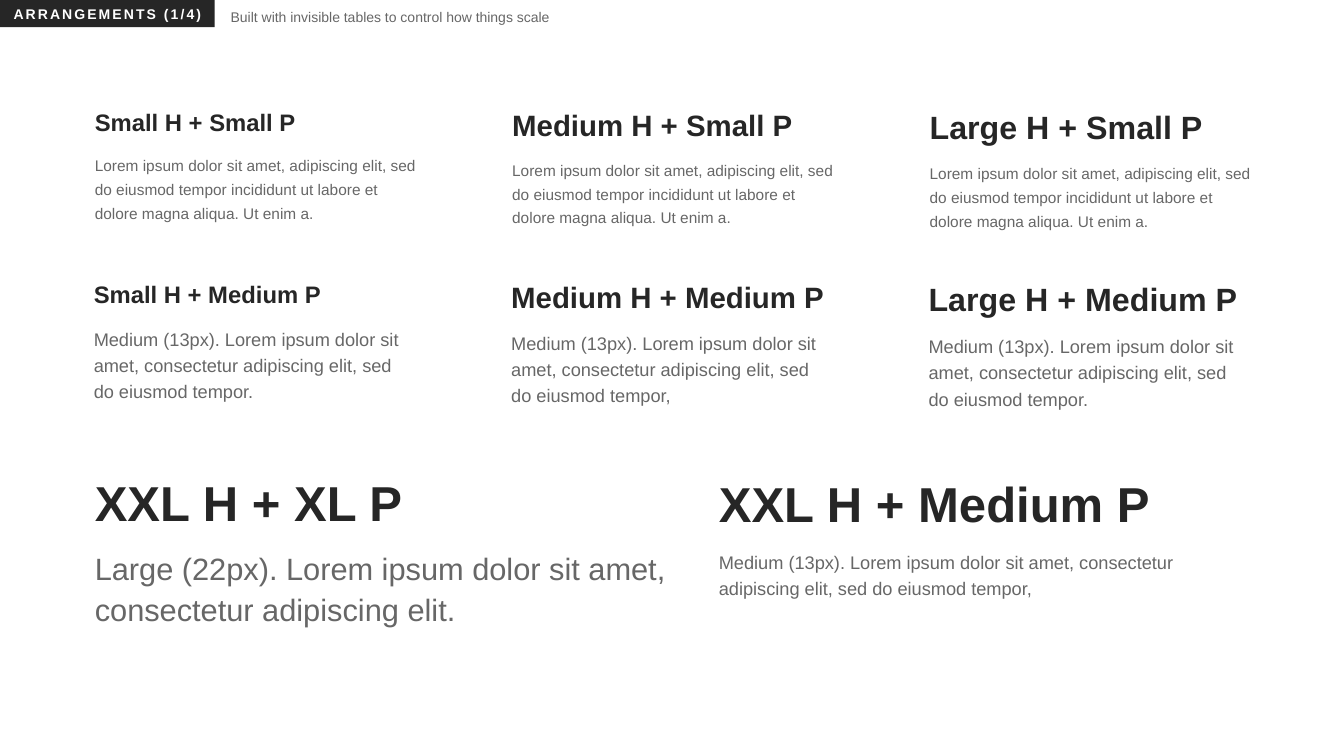
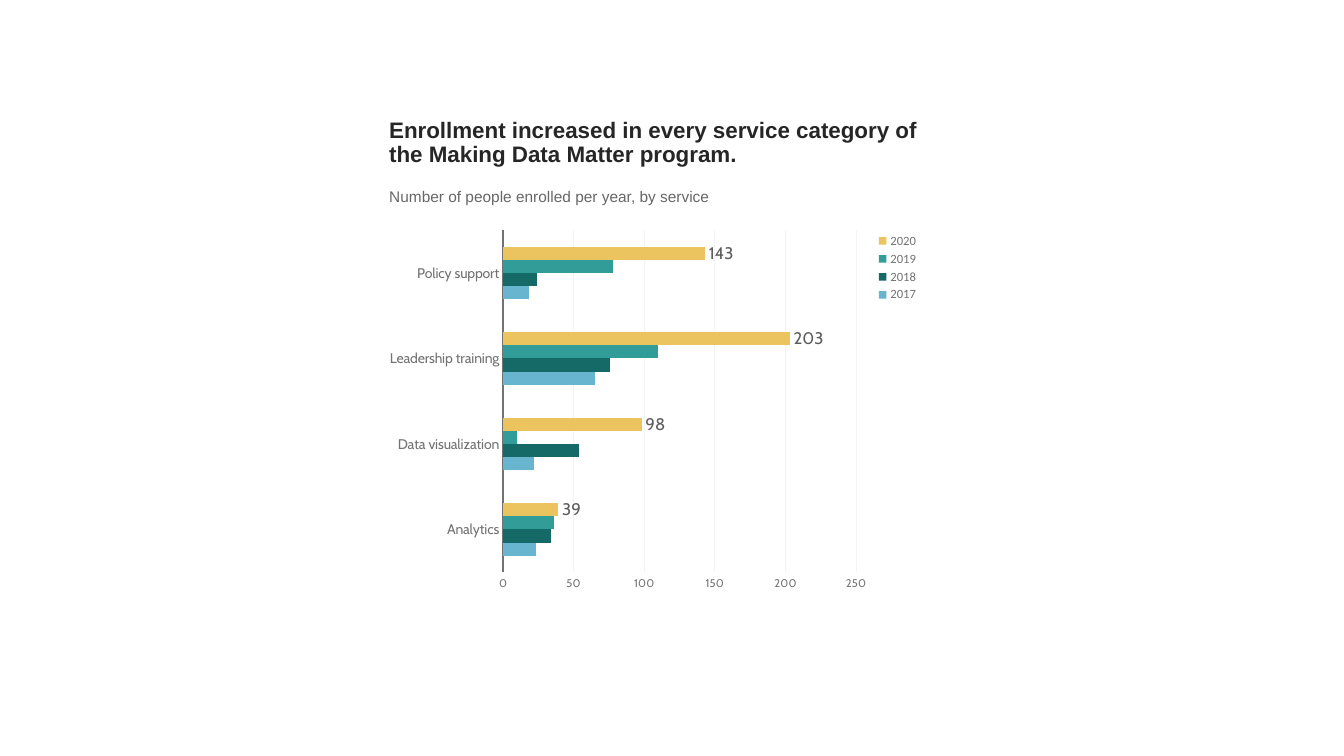
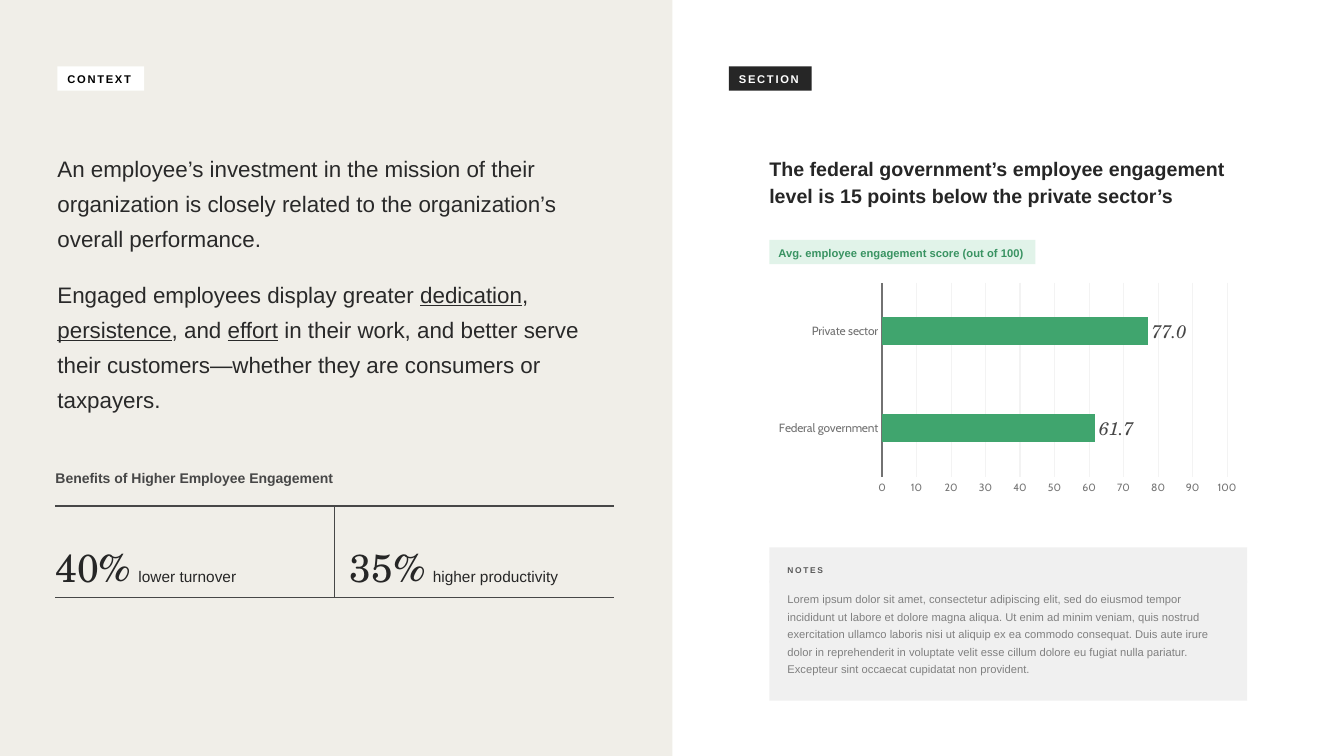
from lxml.etree import SubElement
from pptx import Presentation
from pptx.chart.data import CategoryChartData
from pptx.dml.color import RGBColor
from pptx.enum.chart import XL_CHART_TYPE, XL_LABEL_POSITION, XL_LEGEND_POSITION, XL_TICK_MARK
from pptx.enum.shapes import MSO_SHAPE
from pptx.enum.text import MSO_ANCHOR, MSO_AUTO_SIZE, PP_ALIGN
from pptx.oxml import parse_xml
from pptx.oxml.ns import nsdecls, qn
from pptx.util import Inches, Pt

# Shared colours and fonts
INK = RGBColor(0x26, 0x26, 0x26)
BODY = RGBColor(0x67, 0x67, 0x67)
TEXT = RGBColor(0x29, 0x29, 0x29)
RULE = RGBColor(0x47, 0x47, 0x47)
AXIS = RGBColor(0x72, 0x72, 0x72)
TICK = RGBColor(0x76, 0x76, 0x76)
GRID = RGBColor(0xF3, 0xF3, 0xF3)
LABEL = RGBColor(0x5C, 0x5C, 0x5C)
NOTE_HEAD = RGBColor(0x59, 0x59, 0x59)
NOTE = RGBColor(0x80, 0x80, 0x80)
WHITE = RGBColor(0xFF, 0xFF, 0xFF)
BLACK = RGBColor(0x00, 0x00, 0x00)
BEIGE = RGBColor(0xF0, 0xEE, 0xE8)
GRAY = RGBColor(0xF0, 0xF0, 0xF0)
MINT = RGBColor(0xE1, 0xF3, 0xE9)
DARK_GREEN = RGBColor(0x39, 0x93, 0x62)
GREEN = RGBColor(0x40, 0xA5, 0x6E)
BLUE = RGBColor(0x67, 0xB5, 0xCE)
DEEP_TEAL = RGBColor(0x15, 0x69, 0x66)
TEAL = RGBColor(0x31, 0x9C, 0x98)
YELLOW = RGBColor(0xEB, 0xC3, 0x5F)
SANS, CHART_FONT, CHART_BASE, SERIF = "Arial", "Cabin", "Calibri", "TeX Gyre Schola"
NO_STYLE = "{2D5ABB26-0587-4C30-8999-92F81FD0307C}"


def add_run(p, text, size, color, bold=False, font=SANS, spacing=0, line=None):
    r = p.add_run()
    r.text = text
    r.font.size, r.font.bold, r.font.name = Pt(size), bold, font
    r.font.color.rgb = color
    if spacing:
        r._r.get_or_add_rPr().set("spc", str(int(spacing * 100)))
    if line:
        p.line_spacing = line
    return r


def add_plain_table(s, x, y, widths, heights):
    frame = s.shapes.add_table(len(heights), len(widths), Inches(x), Inches(y),
                               Inches(sum(widths)), Inches(sum(heights)))
    table = frame.table
    table.first_row = table.horz_banding = False
    table._tbl.tblPr.find(qn("a:tableStyleId")).text = NO_STYLE
    for column, width in zip(table.columns, widths):
        column.width = Inches(width)
    for row, height in zip(table.rows, heights):
        row.height = Inches(height)
    for cell in table.iter_cells():
        cell.fill.background()
    return table


prs = Presentation()
prs.slide_width, prs.slide_height = Inches(13.33), Inches(7.5)
TITLE_ONLY, BLANK = prs.slide_layouts[5], prs.slide_layouts[6]
arrangements = prs.slides.add_slide(TITLE_ONLY)
enrollment = prs.slides.add_slide(BLANK)
engagement = prs.slides.add_slide(TITLE_ONLY)

# Titles: a dark tag on the first slide, a chart heading on the third
for s, text, box, size, color, spacing, line, align, anchor, inset in (
        (arrangements, "ARRANGEMENTS (1/4)", (0, 0, 2.13, 0.27), 10, WHITE, 1.5, 1,
         PP_ALIGN.CENTER, MSO_ANCHOR.MIDDLE, 0.1),
        (engagement, "The federal government’s employee engagement level is 15 points "
         "below the private sector’s", (7.63, 1.48, 4.72, 0.61), 14, INK, 0, 1.13,
         PP_ALIGN.LEFT, MSO_ANCHOR.TOP, 0)):
    sp = s.shapes.title
    sp.left, sp.top, sp.width, sp.height = map(Inches, box)
    tf = sp.text_frame
    tf.auto_size, tf.vertical_anchor = MSO_AUTO_SIZE.NONE, anchor
    tf.margin_left = Inches(inset)
    p = tf.paragraphs[0]
    p.alignment = align
    add_run(p, text, size, color, True, spacing=spacing, line=line)
sp = arrangements.shapes.title
sp.fill.solid()
sp.fill.fore_color.rgb = INK

# Slide 1: caption beside the tag
sp = arrangements.shapes.add_textbox(Inches(2.19), Inches(-0.03), Inches(5.34), Inches(0.31))
sp.text_frame.word_wrap = True
add_run(sp.text_frame.paragraphs[0],
        "Built with invisible tables to control how things scale", 10, BODY, line=1.4)

# Heading and paragraph pairs: a grid of three sizes, then the large pairs
SMALL = ("Lorem ipsum dolor sit amet, adipiscing elit, sed do eiusmod tempor "
         "incididunt ut labore et dolore magna aliqua. Ut enim a.")
MEDIUM = ("Medium (13px). Lorem ipsum dolor sit amet, consectetur adipiscing elit, "
          "sed do eiusmod tempor")
pairs = []
for row, (name, y, x0, size, line) in enumerate((("Small", 1.04, 0.84, 11, 1.4),
                                                 ("Medium", 2.75, 0.83, 13, 1.3))):
    for col, (head, head_size) in enumerate((("Small", 17), ("Medium", 21), ("Large", 23))):
        text = SMALL if row == 0 else MEDIUM + (",." [col != 1])
        pairs.append((arrangements, x0 + col * 4.14, y, 3.39,
                      f"{head} H + {name} P", head_size, text, size, line))
pairs += [
    (arrangements, 0.84, 4.68, 6.09, "XXL H + XL P", 35,
     "Large (22px). Lorem ipsum dolor sit amet, consectetur adipiscing elit.", 22, 1.2),
    (arrangements, 7.03, 4.69, 5.49, "XXL H + Medium P", 35, MEDIUM + ",", 13, 1.3),
    (enrollment, 3.76, 1.12, 5.47,
     "Enrollment increased in every service category of the Making Data Matter program.", 16,
     "Number of people enrolled per year, by service", 11, 1.4),
]
for s, x, y, width, head, head_size, text, size, line in pairs:
    table = add_plain_table(s, x, y, [width], [0.41, 0.41])
    add_run(table.cell(0, 0).text_frame.paragraphs[0], head, head_size, INK, True)
    add_run(table.cell(1, 0).text_frame.paragraphs[0], text, size, BODY, line=line)

# Slide 3: panel, tags and notes as filled boxes
NOTES = ("Lorem ipsum dolor sit amet, consectetur adipiscing elit, sed do eiusmod tempor "
         "incididunt ut labore et dolore magna aliqua. Ut enim ad minim veniam, quis nostrud "
         "exercitation ullamco laboris nisi ut aliquip ex ea commodo consequat. Duis aute irure "
         "dolor in reprehenderit in voluptate velit esse cillum dolore eu fugiat nulla pariatur. "
         "Excepteur sint occaecat cupidatat non provident.")
MIDDLE, TOP = MSO_ANCHOR.MIDDLE, MSO_ANCHOR.TOP
for box, fill, text, size, color, bold, spacing, line, wrap, anchor, inset_x, inset_y in (
        ((0, 0, 6.67, 7.5), BEIGE, "", 0, None, False, 0, 1, True, MIDDLE, 0.1, 0.05),
        ((7.23, 0.66, 0.82, 0.24), INK, "SECTION", 8, WHITE, True, 1.2, 1,
         False, MIDDLE, 0.1, 0.05),
        ((0.57, 0.66, 0.86, 0.24), WHITE, "CONTEXT", 8, BLACK, True, 1.2, 1,
         False, MIDDLE, 0.1, 0.05),
        ((7.63, 2.38, 2.64, 0.24), MINT, "Avg. employee engagement score (out of 100)", 8,
         DARK_GREEN, True, 0, 1.1, False, MIDDLE, 0.09, 0.05),
        ((7.63, 5.43, 4.74, 0.35), GRAY, "NOTES", 6, NOTE_HEAD, True, 1.2, 1,
         True, TOP, 0.18, 0.18),
        ((7.63, 5.76, 4.74, 1.19), GRAY, NOTES, 8, NOTE, False, 0, 1.3,
         True, TOP, 0.18, 0.08)):
    sp = engagement.shapes.add_shape(MSO_SHAPE.RECTANGLE, *map(Inches, box))
    sp.shadow.inherit = False
    sp.fill.solid()
    sp.fill.fore_color.rgb = fill
    sp.line.fill.background()
    if text:
        tf = sp.text_frame
        tf.word_wrap, tf.vertical_anchor = wrap, anchor
        tf.margin_left = tf.margin_right = Inches(inset_x)
        tf.margin_top, tf.margin_bottom = Inches(inset_y), Inches(0.05)
        p = tf.paragraphs[0]
        p.alignment = PP_ALIGN.LEFT
        add_run(p, text, size, color, bold, spacing=spacing, line=line)

# Slide 3: context text with underlined key words
sp = engagement.shapes.add_textbox(Inches(0.57), Inches(1.41), Inches(5.53), Inches(3.1))
tf = sp.text_frame
tf.word_wrap = True
tf.margin_left = tf.margin_right = 0
p = tf.paragraphs[0]
p.space_after = Pt(15)
add_run(p, "An employee’s investment in the mission of their organization is closely related "
        "to the organization’s overall performance.", 16, TEXT, line=1.3)
p = tf.add_paragraph()
for text, underlined in (
        ("Engaged employees display greater ", False), ("dedication", True), (", ", False),
        ("persistence", True), (", and ", False), ("effort", True),
        (" in their work, and better serve their customers—whether they are consumers "
         "or taxpayers.", False)):
    r = add_run(p, text, 16, TEXT, line=1.3)
    r.font.underline = underlined

# Slide 3: benefits table with ruled cells
table = add_plain_table(engagement, 0.55, 4.67, [2.77, 2.77], [0.35, 0.84])
table.cell(0, 0).merge(table.cell(0, 1))
add_run(table.cell(0, 0).text_frame.paragraphs[0],
        "Benefits of Higher Employee Engagement", 10, RULE, True)
for col, (value, text) in enumerate((("40%", "lower turnover"), ("35%", "higher productivity"))):
    p = table.cell(1, col).text_frame.paragraphs[0]
    add_run(p, value, 28, INK, font=SERIF, line=1.3)
    add_run(p, " ", 17, INK, True, SERIF).font.italic = True
    add_run(p, text, 11, INK)
for row, col, inset_x, inset_y, borders in (
        (0, 0, 0, 0, {"lnB": 1.5}),
        (0, 1, 0, 0, {"lnB": 1.5}),
        (1, 0, 0, 0.15, {"lnR": 0.75, "lnT": 1.5, "lnB": 0.75}),
        (1, 1, 0.15, 0.15, {"lnL": 0.75, "lnT": 1.5, "lnB": 0.75})):
    cell = table.cell(row, col)
    cell.margin_left, cell.margin_right = Inches(inset_x), 0
    cell.margin_top = cell.margin_bottom = Inches(inset_y)
    tcPr = cell._tc.get_or_add_tcPr()
    for i, (side, width) in enumerate(borders.items()):
        tcPr.insert(i, parse_xml(
            f'<a:{side} {nsdecls("a")} w="{Pt(width)}"><a:solidFill>'
            f'<a:srgbClr val="{RULE}"/></a:solidFill></a:{side}>'))

# Bar charts on slides 2 and 3; the last series carries the value labels
for s, box, cats, series, top, step, cat_size, val_size, label, plot_at, legend_at in (
        (enrollment, (3.76, 2.21, 5.47, 3.73),
         ("Analytics", "Data visualization", "Leadership training", "Policy support"),
         (("2017", (23, 22, 65, 18), BLUE), ("2018", (34, 54, 76, 24), DEEP_TEAL),
          ("2019", (36, 10, 110, 78), TEAL), ("2020", (39, 98, 203, 143), YELLOW)),
         250, 50, 10, 8, (12, LABEL, CHART_FONT, False, "0"),
         (0.225, 0.02, 0.64, 0.91), (0.89, 0.02, 0.1, 0.2)),
        (engagement, (7.63, 2.76, 4.74, 2.2), ("Federal government", "Private sector"),
         (("Series 1", (61.7, 77), GREEN),),
         100, 10, 8.5, 7.5, (13, RULE, SERIF, True, "0.0"),
         (0.236, 0.02, 0.722, 0.875), None)):
    data = CategoryChartData()
    data.categories = cats
    for name, values, color in series:
        data.add_series(name, values)
    chart = s.shapes.add_chart(XL_CHART_TYPE.BAR_CLUSTERED, *map(Inches, box), data).chart
    chart.has_title = False
    chart.font.size, chart.font.name, chart.font.color.rgb = Pt(10), CHART_BASE, INK
    plot = chart.plots[0]
    plot.gap_width, plot.overlap, plot.vary_by_categories = 250, 0, False
    for bars, (name, values, color) in zip(plot.series, series):
        bars.format.fill.solid()
        bars.format.fill.fore_color.rgb = color
    labels = bars.data_labels
    labels.show_value, labels.position = True, XL_LABEL_POSITION.OUTSIDE_END
    size, color, font, italic, number_format = label
    labels.number_format, labels.number_format_is_linked = number_format, False
    labels.font.size, labels.font.name, labels.font.italic = Pt(size), font, italic
    labels.font.color.rgb = color

    # Axes and gridlines
    cat_axis, val_axis = chart.category_axis, chart.value_axis
    for axis, size, color in ((cat_axis, cat_size, AXIS), (val_axis, val_size, TICK)):
        axis.major_tick_mark = axis.minor_tick_mark = XL_TICK_MARK.NONE
        font = axis.tick_labels.font
        font.size, font.name, font.color.rgb = Pt(size), CHART_FONT, color
    cat_axis.format.line.color.rgb, cat_axis.format.line.width = AXIS, Pt(1.5)
    val_axis.format.line.fill.background()
    val_axis.minimum_scale, val_axis.maximum_scale, val_axis.major_unit = 0, top, step
    val_axis.tick_labels.number_format = "0"
    val_axis.tick_labels.number_format_is_linked = False
    grid = val_axis.major_gridlines.format.line
    grid.color.rgb, grid.width = GRID, Pt(0.75)

    # Legend, then fixed places for plot and legend
    chart.has_legend = legend_at is not None
    places = [(chart._chartSpace.chart.plotArea, 0, plot_at)]
    if legend_at:
        legend = chart.legend
        legend.position, legend.include_in_layout = XL_LEGEND_POSITION.RIGHT, False
        legend.font.size, legend.font.name, legend.font.color.rgb = Pt(9), CHART_BASE, AXIS
        places.append((legend._element, 1, legend_at))
    for parent, index, place in places:
        for old in parent.findall(qn("c:layout")):
            parent.remove(old)
        layout = parse_xml(f'<c:layout {nsdecls("c")}><c:manualLayout/></c:layout>')
        settings = [("xMode", "edge"), ("yMode", "edge"), *zip("xywh", place)]
        if index == 0:
            settings.insert(0, ("layoutTarget", "inner"))
        for tag, value in settings:
            SubElement(layout[0], qn(f"c:{tag}")).set("val", str(value))
        parent.insert(index, layout)

prs.save("out.pptx")
